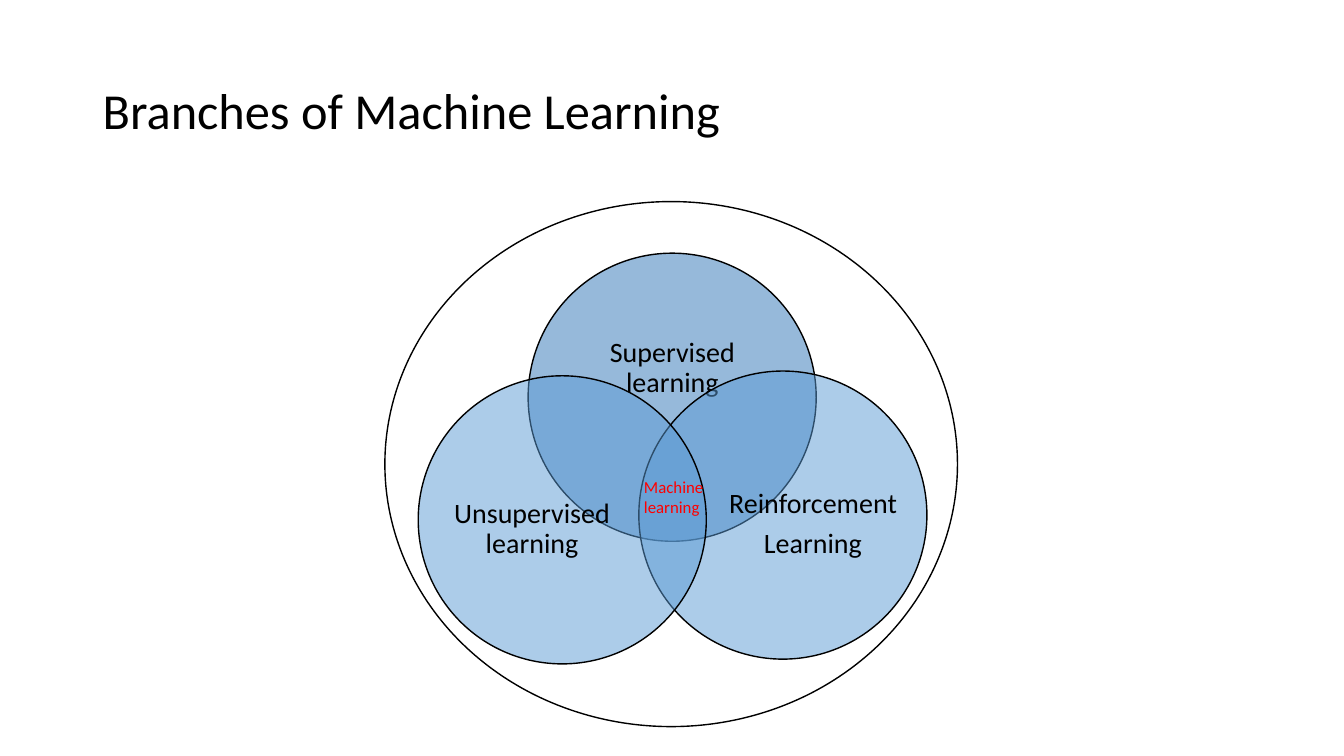
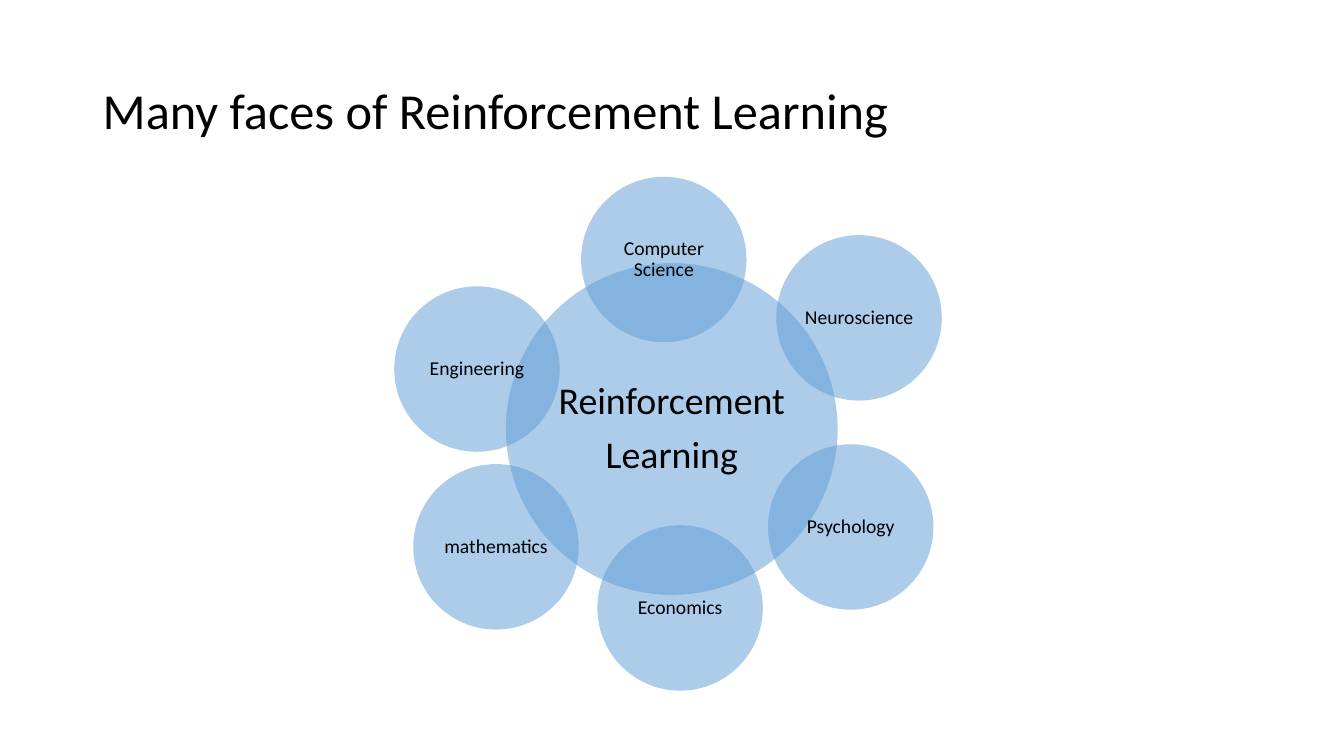
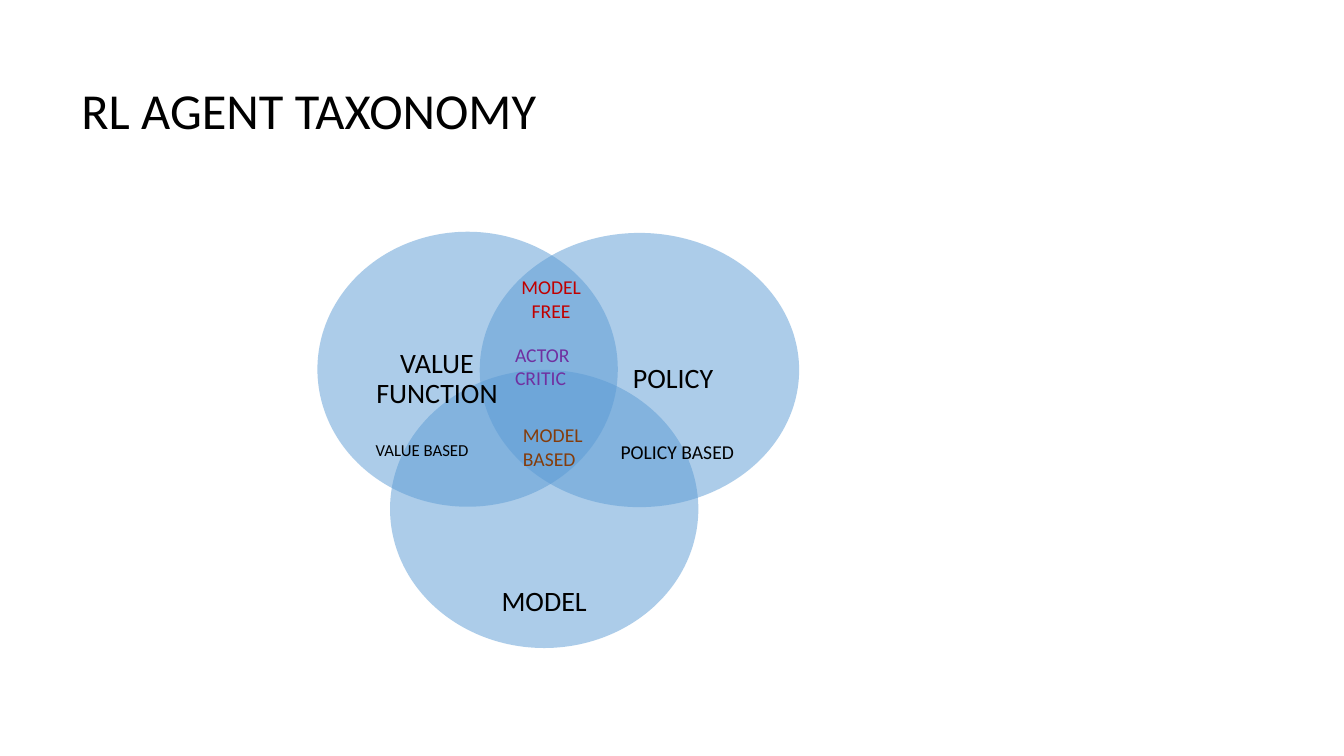
from dataclasses import dataclass
from math import sqrt

from lxml import etree
from pptx import Presentation
from pptx import util as u
from pptx.dml.color import RGBColor
from pptx.enum import shapes, text
from pptx.oxml.ns import qn


@dataclass(frozen=True)
class Theme:
    font: str = "Calibri"
    ink: str = "000000"
    paper: str = "FFFFFF"
    blue: str = "5B9BD5"
    deep_blue: str = "2E75B6"
    red: str = "FF0000"
    dark_red: str = "C00000"
    purple: str = "7030A0"
    brown: str = "843C0B"
    opacity: int = 50
    title: int = 36
    hub: int = 27
    label: int = 20
    note: int = 14
    small: int = 12


class Deck:
    """Holds the theme and the current slide; all lengths are centimetres."""

    def __init__(self, theme):
        self.theme = theme
        self.prs = Presentation()
        self.prs.slide_width, self.prs.slide_height = u.Cm(33.87), u.Cm(19.05)
        self.s = None

    def slide(self, title, left=2.34):
        self.s = self.prs.slides.add_slide(self.prs.slide_layouts[6])
        self.text((left, 1.02, 29.21, 3.68), title, self.theme.title,
                  anchor=text.MSO_ANCHOR.MIDDLE, spacing=0.9)

    def text(self, box, words, size, color=None, align=text.PP_ALIGN.LEFT,
             anchor=text.MSO_ANCHOR.TOP, spacing=1.0, after=0):
        sp = self.s.shapes.add_textbox(*map(u.Cm, box))
        tf = sp.text_frame
        tf.word_wrap = True
        tf.vertical_anchor = anchor
        tf.text = words
        for p in tf.paragraphs:
            p.alignment = align
            p.line_spacing = spacing
            p.space_after = u.Pt(after)
            for r in p.runs:
                r.font.name = self.theme.font
                r.font.size = u.Pt(size)
                r.font.color.rgb = RGBColor.from_string(color or self.theme.ink)
        return tf

    def label(self, box, words, size):
        """Centred text without margins, as set inside a disc."""
        tf = self.text(box, words, size, align=text.PP_ALIGN.CENTER,
                       anchor=text.MSO_ANCHOR.MIDDLE, spacing=0.9, after=0.35 * size)
        tf.margin_left = tf.margin_right = tf.margin_top = tf.margin_bottom = 0

    def disc(self, box, fill=None, outlined=False, opacity=None):
        sp = self.s.shapes.add_shape(shapes.MSO_SHAPE.OVAL, *map(u.Cm, box))
        sp.shadow.inherit = False
        sp.fill.solid()
        sp.fill.fore_color.rgb = RGBColor.from_string(fill or self.theme.blue)
        color = sp._element.spPr.find(qn("a:solidFill")).find(qn("a:srgbClr"))
        alpha = etree.SubElement(color, qn("a:alpha"))
        alpha.set("val", str((opacity or self.theme.opacity) * 1000))
        if outlined:
            sp.line.color.rgb = RGBColor.from_string(self.theme.ink)
            sp.line.width = u.Pt(1)
        else:
            sp.line.fill.background()

    def bubble(self, x, y, diameter, words, size):
        """Circle around (x, y) with its text in the inscribed square."""
        def square(side):
            return x - side / 2, y - side / 2, side, side

        self.disc(square(diameter))
        self.label(square(diameter / sqrt(2)), words, size)


def branches(deck):
    t = deck.theme
    deck.slide("Branches of Machine Learning")
    deck.disc((9.7, 5.08, 14.43, 13.23), t.paper, outlined=True, opacity=100)
    diameter = 7.26
    for x, y, fill, (dx, dy, w, h), words in (
        (13.31, 6.38, t.deep_blue, (0.97, 1.27, 5.33, 3.28), "Supervised learning"),
        (16.1, 9.35, t.blue, (2.21, 1.88, 4.36, 3.99), "Reinforcement\nLearning"),
        (10.54, 9.47, t.blue, (0.69, 1.88, 4.36, 3.99), "Unsupervised learning"),
    ):
        deck.disc((x, y, diameter, diameter), fill, outlined=True)
        deck.label((x + dx, y + dy, w, h), words, t.label)
    deck.text((15.98, 11.89, 2.06, 1.27), "Machine learning", t.small, t.red)


def faces(deck):
    t = deck.theme
    deck.slide("Many faces of Reinforcement Learning")
    deck.bubble(16.93, 10.81, 8.36, "Reinforcement\nLearning", t.hub)
    for x, y, field in (
        (16.73, 6.54, "Computer Science"),
        (21.65, 8.01, "Neuroscience"),
        (21.44, 13.28, "Psychology"),
        (17.14, 15.32, "Economics"),
        (12.5, 13.78, "mathematics"),
        (12.02, 9.3, "Engineering"),
    ):
        deck.bubble(x, y, 4.17, field, t.note)


def taxonomy(deck):
    t = deck.theme
    deck.slide("RL AGENT TAXONOMY", left=1.8)
    for disc, box, words in (
        ((9.83, 9.32, 7.77, 7.01), (10.87, 14.22, 5.69, 1.93), "MODEL"),
        ((12.09, 5.87, 8.05, 6.91), (14.55, 7.65, 4.83, 3.81), "POLICY"),
        ((8, 5.84, 7.57, 6.93), (8.74, 7.65, 4.55, 3.81), "VALUE FUNCTION"),
    ):
        deck.disc(disc)
        deck.label(box, words, t.label)
    deck.text((12.73, 8.51, 2.31, 1.45), "ACTOR CRITIC", t.note, t.purple)
    deck.text((12.57, 6.81, 2.64, 1.5), "MODEL\nFREE", t.note, t.dark_red,
              align=text.PP_ALIGN.CENTER)
    deck.text((12.93, 10.54, 2.67, 1.45), "MODEL BASED", t.note, t.brown)
    deck.text((9.22, 10.95, 3.5, 0.76), "VALUE BASED", t.small)
    deck.text((15.39, 10.97, 5.38, 0.86), "POLICY BASED", t.note)


def main():
    deck = Deck(Theme())
    for build in (branches, faces, taxonomy):
        build(deck)
    deck.prs.save("out.pptx")


if __name__ == "__main__":
    main()
